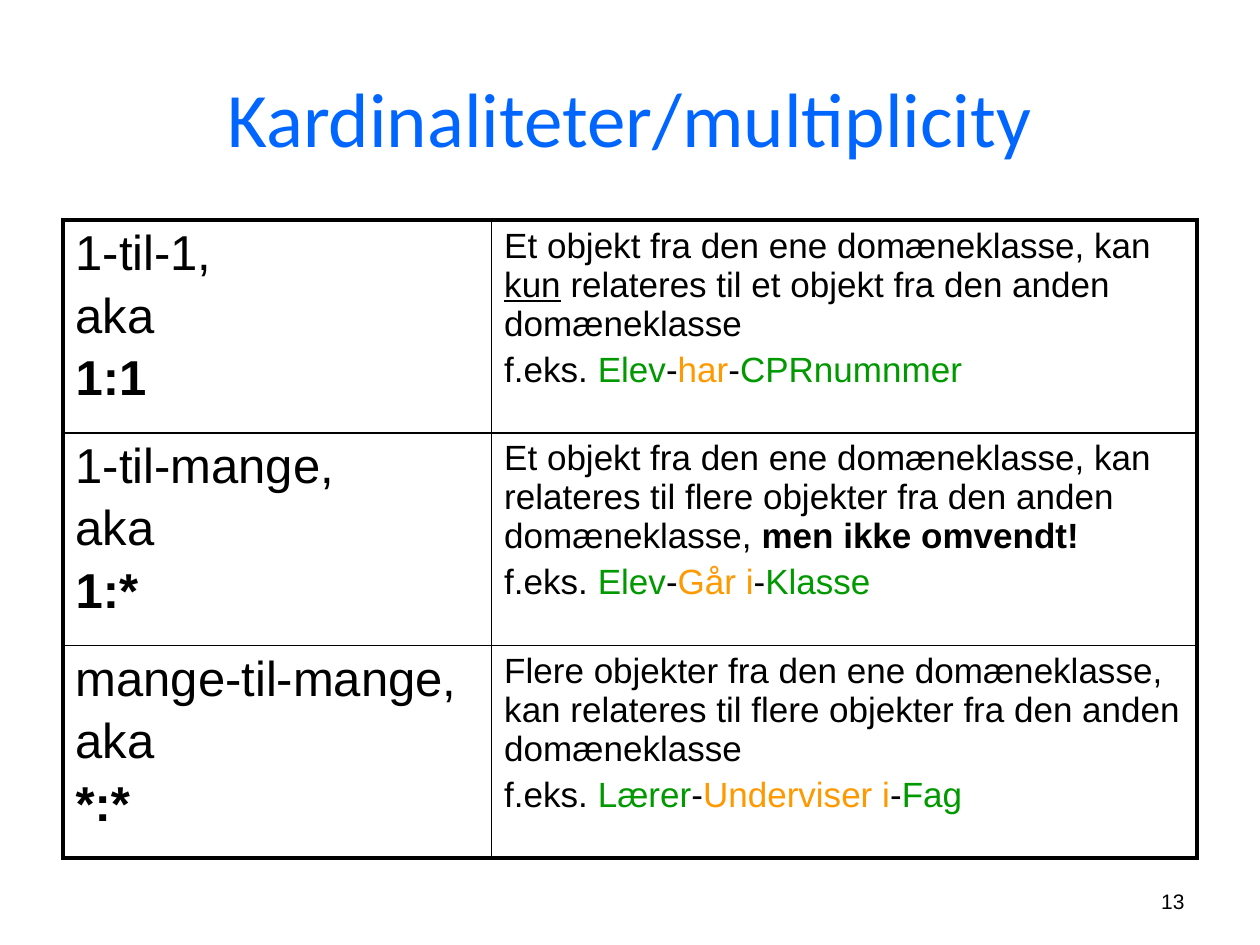
from lxml import etree
from pptx import Presentation
from pptx.dml.color import RGBColor
from pptx.enum.text import MSO_ANCHOR, PP_ALIGN
from pptx.oxml.ns import qn
from pptx.util import Inches, Pt

CENTER, RIGHT = PP_ALIGN.CENTER, PP_ALIGN.RIGHT
MIDDLE = MSO_ANCHOR.MIDDLE
WIDTH, HEIGHT = Inches(10), Inches(7.5)
COLORS = {"text": "000000", "title": "0066FF", "entity": "009900", "relation": "FF9900"}
OUTER, INNER = 2.25, 1
TERM_SHARE = 0.378  # first column's share of the table width

# name, notation, explanation as (text, emphasis), example as (entity, relation, entity)
CARDINALITIES = [
    ("1-til-1,", "1:1",
     [("Et objekt fra den ene domæneklasse, kan ", None), ("kun", "underline"),
      (" relateres til et objekt fra den anden domæneklasse", None)],
     ("Elev", "har", "CPRnumnmer")),
    ("1-til-mange,", "1:*",
     [("Et objekt fra den ene domæneklasse, kan relateres til flere objekter "
       "fra den anden domæneklasse, ", None), ("men ikke omvendt!", "bold")],
     ("Elev", "Går i", "Klasse")),
    ("mange-til-mange,", "*:*",
     [("Flere objekter fra den ene domæneklasse, kan relateres til flere objekter "
       "fra den anden domæneklasse", None)],
     ("Lærer", "Underviser i", "Fag")),
]


def share_box(left, top, width, height):
    """Turn shares of the slide into lengths."""
    return int(left * WIDTH), int(top * HEIGHT), int(width * WIDTH), int(height * HEIGHT)


def style(font, size, color="text", name="Arial"):
    font.name, font.size = name, Pt(size)
    font.color.rgb = RGBColor.from_string(COLORS[color])


def add_label(slide, box, text, align, size, color="text", font_name="Arial"):
    frame = slide.shapes.add_textbox(*box).text_frame
    frame.word_wrap = True
    frame.vertical_anchor = MIDDLE
    paragraph = frame.paragraphs[0]
    paragraph.text, paragraph.alignment = text, align
    style(paragraph.font, size, color, font_name)


def add_paragraphs(cell, count, size, gap):
    frame = cell.text_frame
    paragraphs = [frame.paragraphs[0]] + [frame.add_paragraph() for _ in range(count - 1)]
    for index, paragraph in enumerate(paragraphs):
        style(paragraph.font, size)
        if index:
            paragraph.space_before = Pt(gap)
    return paragraphs


def fill_term(cell, name, notation):
    lines = add_paragraphs(cell, 3, 28, 4.5)
    for line, text in zip(lines, (name, "aka", notation)):
        line.add_run().text = text
    lines[-1].font.bold = True


def fill_meaning(cell, explanation, example):
    meaning, sample = add_paragraphs(cell, 2, 20, 4)
    for text, emphasis in explanation:
        run = meaning.add_run()
        run.text = text
        if emphasis:
            setattr(run.font, emphasis, True)
    source, relation, target = example
    for text, color in (("f.eks. ", "text"), (source, "entity"), ("-", "text"),
                        (relation, "relation"), ("-", "text"), (target, "entity")):
        run = sample.add_run()
        run.text = text
        run.font.color.rgb = RGBColor.from_string(COLORS[color])


def set_borders(cell, sides):
    """Draw the cell's lines; sides maps L, R, T, B to widths in points."""
    properties = cell._tc.get_or_add_tcPr()
    for position, side in enumerate("LRTB"):
        line = etree.Element(qn(f"a:ln{side}"), w=str(Pt(sides[side])))
        fill = etree.SubElement(line, qn("a:solidFill"))
        etree.SubElement(fill, qn("a:srgbClr"), val=COLORS["text"])
        properties.insert(position, line)


def add_cardinality_table(slide, box):
    rows = len(CARDINALITIES)
    table = slide.shapes.add_table(rows, 2, *box).table
    table.first_row = table.horz_banding = False
    term_width = int(box[2] * TERM_SHARE)
    table.columns[0].width, table.columns[1].width = term_width, box[2] - term_width
    for row, (name, notation, explanation, example) in enumerate(CARDINALITIES):
        fill_term(table.cell(row, 0), name, notation)
        fill_meaning(table.cell(row, 1), explanation, example)
        for column in range(2):
            cell = table.cell(row, column)
            cell.fill.background()
            set_borders(cell, {
                "L": INNER if column else OUTER,
                "R": OUTER if column else INNER,
                "T": INNER if row else OUTER,
                "B": OUTER if row == rows - 1 else INNER,
            })


def main():
    deck = Presentation()
    deck.slide_width, deck.slide_height = WIDTH, HEIGHT
    slide = deck.slides.add_slide(deck.slide_layouts[6])
    add_label(slide, share_box(0.05, 0.04, 0.9, 0.167), "Kardinaliteter/multiplicity",
              CENTER, 44, "title", "Calibri")
    add_cardinality_table(slide, share_box(0.05, 0.233, 0.9, 0.675))
    add_label(slide, share_box(0.717, 0.927, 0.233, 0.053), "13", RIGHT, 12)
    deck.save("out.pptx")


if __name__ == "__main__":
    main()
